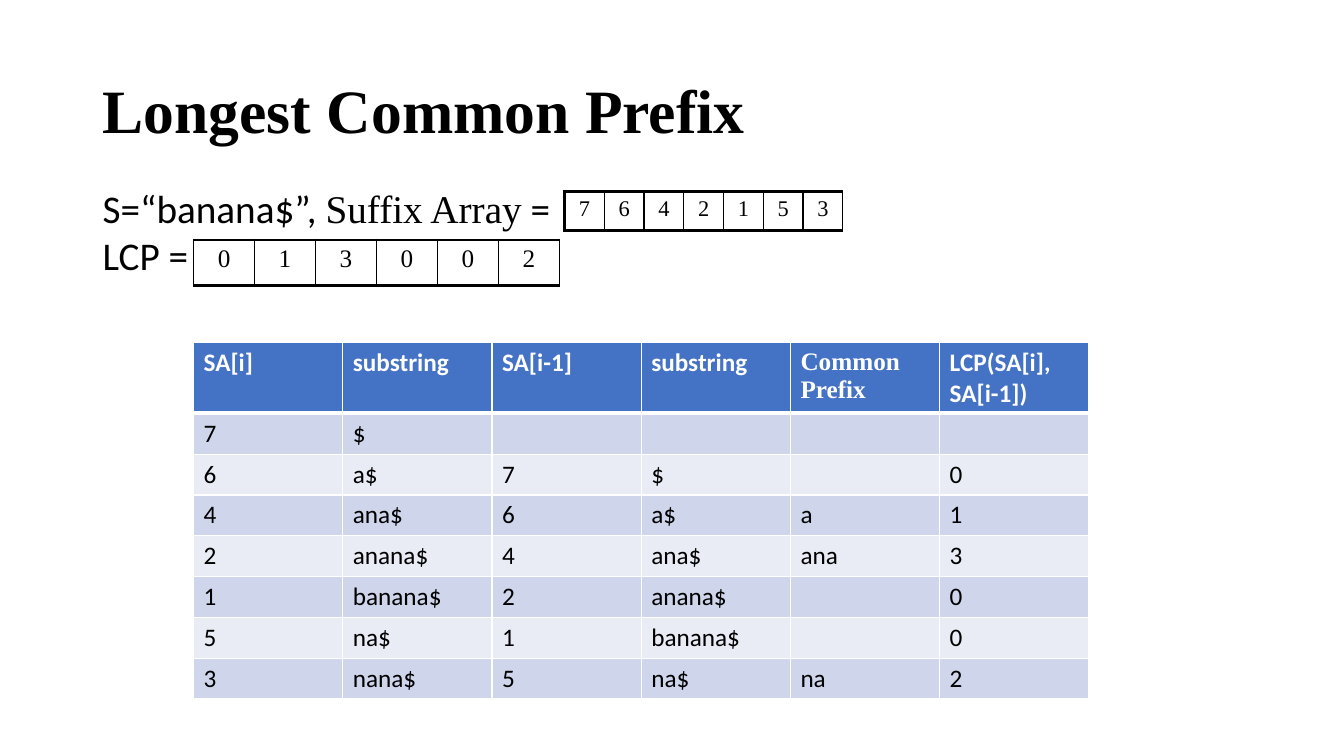
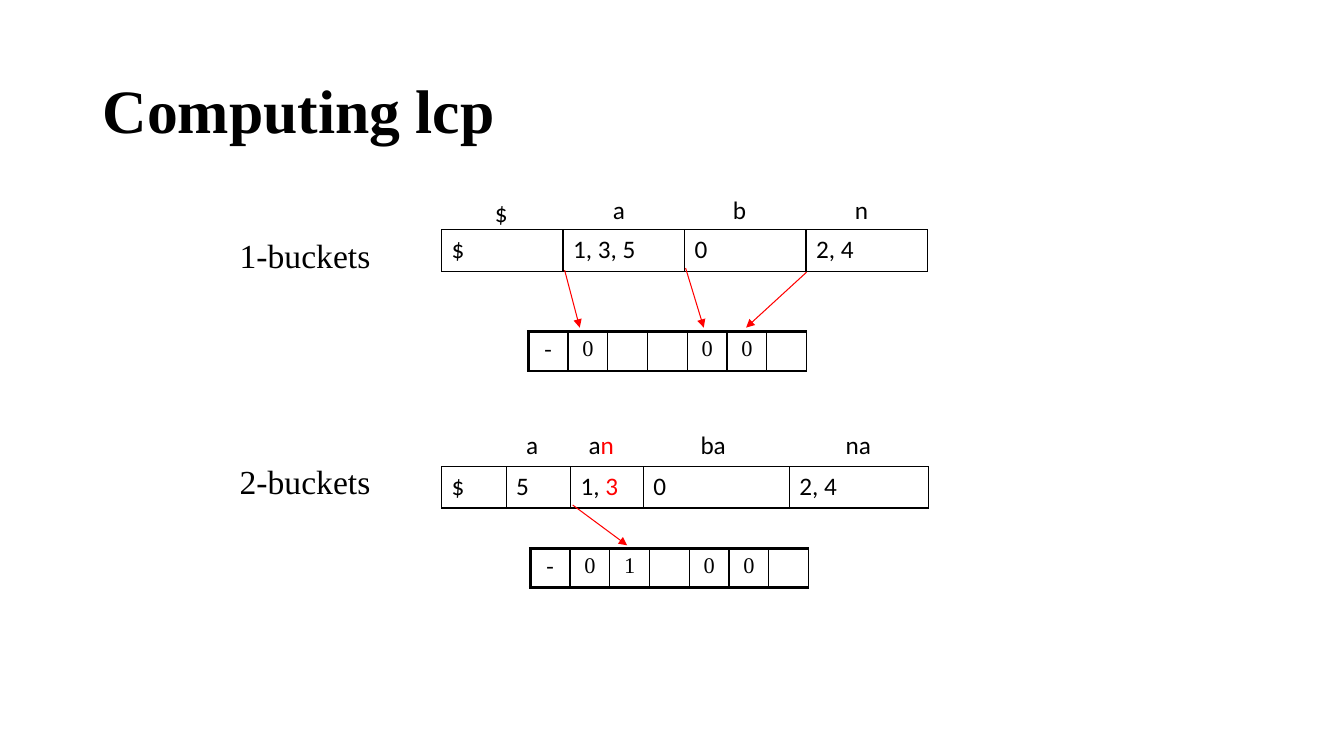
from dataclasses import dataclass

from lxml import etree
from pptx import Presentation
from pptx.dml.color import RGBColor
from pptx.enum.shapes import MSO_CONNECTOR
from pptx.enum.text import MSO_ANCHOR, PP_ALIGN
from pptx.oxml.ns import qn
from pptx.util import Inches, Pt

BLACK = RGBColor(0x00, 0x00, 0x00)
WHITE = RGBColor(0xFF, 0xFF, 0xFF)
RED = RGBColor(0xFF, 0x00, 0x00)
HEADER_BLUE = RGBColor(0x44, 0x72, 0xC4)
BAND_DARK = RGBColor(0xCF, 0xD5, 0xEA)
BAND_LIGHT = RGBColor(0xE9, 0xEB, 0xF5)

SANS = "Calibri"
SERIF = "Times New Roman"
LEFT, CENTER = PP_ALIGN.LEFT, PP_ALIGN.CENTER
TOP, MIDDLE = MSO_ANCHOR.TOP, MSO_ANCHOR.MIDDLE
STRAIGHT = MSO_CONNECTOR.STRAIGHT

# The string and its arrays
WORD = "banana$"
SUFFIX_ARRAY = [7, 6, 4, 2, 1, 5, 3]
LCP = [0, 1, 3, 0, 0, 2]


@dataclass(frozen=True)
class Run:
    text: str
    font: str | None = None
    color: RGBColor | None = None


@dataclass(frozen=True)
class Borders:
    color: RGBColor = BLACK
    left: float = 1
    right: float = 1
    top: float = 1
    bottom: float = 1


@dataclass(frozen=True)
class Label:
    left: float
    top: float
    width: float
    runs: tuple


@dataclass(frozen=True)
class Arrow:
    start: tuple
    end: tuple


@dataclass(frozen=True)
class BucketRow:
    name: str
    name_top: float
    top: float
    widths: list
    cells: list
    labels: list
    strip_left: float
    strip_top: float
    lcp: list
    arrows: list


def write_text(frame, *paragraphs, size=18, font=SANS, color=BLACK, bold=False,
               align=LEFT, line_spacing=1.0):
    """Fill a frame; each paragraph is a sequence of Run items."""
    for index, runs in enumerate(paragraphs):
        paragraph = frame.paragraphs[0] if index == 0 else frame.add_paragraph()
        paragraph.alignment = align
        paragraph.line_spacing = line_spacing
        for part in runs:
            run = paragraph.add_run()
            run.text = part.text
            run.font.size = Pt(size)
            run.font.name = part.font or font
            run.font.bold = bold
            run.font.color.rgb = part.color or color
        if not runs:
            etree.SubElement(paragraph._p, qn("a:endParaRPr"), sz=str(size * 100))


def add_text(slide, left: float, top: float, width: float, height: float,
             *paragraphs, anchor=TOP, **text_format):
    box = slide.shapes.add_textbox(Inches(left), Inches(top), Inches(width), Inches(height))
    box.text_frame.word_wrap = True
    box.text_frame.vertical_anchor = anchor
    write_text(box.text_frame, *paragraphs, **text_format)


def add_title(slide, text: str):
    add_text(slide, 0.92, 0.4, 11.5, 1.45, [Run(text)], anchor=MIDDLE,
             size=44, font=SERIF, bold=True, line_spacing=0.9)


def set_borders(cell, borders: Borders):
    properties = cell._tc.get_or_add_tcPr()
    sides = (("L", borders.left), ("R", borders.right),
             ("T", borders.top), ("B", borders.bottom))
    for position, (side, weight) in enumerate(sides):
        line = etree.Element(qn(f"a:ln{side}"), w=str(Pt(weight)))
        fill = etree.SubElement(line, qn("a:solidFill"))
        etree.SubElement(fill, qn("a:srgbClr"), val=str(borders.color))
        properties.insert(position, line)


def add_grid(slide, left: float, top: float, widths: list, heights: list):
    table = slide.shapes.add_table(
        len(heights), len(widths), Inches(left), Inches(top),
        Inches(sum(widths)), Inches(sum(heights))).table
    table.first_row = table.horz_banding = False
    for column, width in zip(table.columns, widths):
        column.width = Inches(width)
    for row, height in zip(table.rows, heights):
        row.height = Inches(height)
    return table


def fill_cell(cell, runs, fill: RGBColor, borders: Borders, **text_format):
    cell.fill.solid()
    cell.fill.fore_color.rgb = fill
    set_borders(cell, borders)
    write_text(cell.text_frame, runs, **text_format)


def add_strip(slide, left: float, top: float, values: list, width=2.76,
              height=0.39, size=16, left_border=2.25):
    """One-row array with heavy top and bottom lines."""
    count = len(values)
    table = add_grid(slide, left, top, [width / count] * count, [height])
    for index, value in enumerate(values):
        borders = Borders(left=left_border if index == 0 else 1, top=2.25, bottom=2.25)
        runs = [Run(str(value))] if value != "" else []
        fill_cell(table.cell(0, index), runs, WHITE, borders,
                  size=size, font=SERIF, align=CENTER)


def add_arrow(slide, arrow: Arrow):
    points = [Inches(value) for value in (*arrow.start, *arrow.end)]
    connector = slide.shapes.add_connector(STRAIGHT, *points)
    connector.line.color.rgb = RED
    connector.line.width = Pt(0.75)
    etree.SubElement(connector.line._get_or_add_ln(), qn("a:tailEnd"), type="triangle")
    etree.SubElement(connector._element.spPr, qn("a:effectLst"))


def add_buckets(slide, row: BucketRow):
    add_text(slide, 2.27, row.name_top, 1.51, 0.5, [Run(row.name)],
             size=24, font=SERIF, align=CENTER)
    table = add_grid(slide, 4.38, row.top, row.widths, [0.41])
    for index, runs in enumerate(row.cells):
        fill_cell(table.cell(0, index), runs, WHITE, Borders())
    for label in row.labels:
        add_text(slide, label.left, label.top, label.width, 0.4, label.runs)
    add_strip(slide, row.strip_left, row.strip_top, row.lcp)
    for arrow in row.arrows:
        add_arrow(slide, arrow)


def comparison_rows() -> list:
    """Each suffix beside its predecessor, their common prefix and its length."""
    suffixes = [WORD[start - 1:] for start in SUFFIX_ARRAY]
    rows = [[str(SUFFIX_ARRAY[0]), suffixes[0], "", "", "", ""]]
    for index, length in enumerate(LCP, start=1):
        rows.append([str(SUFFIX_ARRAY[index]), suffixes[index],
                     str(SUFFIX_ARRAY[index - 1]), suffixes[index - 1],
                     suffixes[index][:length], str(length)])
    return rows


def build_prefix_slide(slide):
    add_title(slide, "Longest Common Prefix")
    add_text(slide, 0.92, 1.78, 4.79, 1.04,
             [Run("S=“banana$”, "), Run("Suffix Array", font=SERIF), Run(" =")],
             [Run("LCP =")], size=28)

    # Comparison of neighbouring suffixes
    header = [Run("SA[i]"), Run("substring"), Run("SA[i-1]"), Run("substring"),
              Run("Common Prefix", font=SERIF), Run("LCP(SA[i], SA[i-1])")]
    rows = comparison_rows()
    table = add_grid(slide, 1.92, 3.4, [1.48] * len(header), [0.7] + [0.405] * len(rows))
    for column, title in enumerate(header):
        fill_cell(table.cell(0, column), [title], HEADER_BLUE,
                  Borders(WHITE, bottom=3), color=WHITE, bold=True)
    for row, values in enumerate(rows, start=1):
        band = BAND_DARK if row % 2 else BAND_LIGHT
        borders = Borders(WHITE, top=3 if row == 1 else 1)
        for column, value in enumerate(values):
            fill_cell(table.cell(row, column), [Run(value)] if value else [], band, borders)

    # Arrays beside the definitions
    add_strip(slide, 5.6, 1.9, SUFFIX_ARRAY)
    add_strip(slide, 1.92, 2.38, LCP, width=3.63, height=0.45, size=18, left_border=1)


def build_bucket_slide(slide):
    add_title(slide, "Computing lcp")
    one_buckets = BucketRow(
        "1-buckets", 2.28, 2.28, [1.205] * 4,
        [[Run(text)] for text in ("$", "1, 3, 5", "0", "2, 4")],
        [Label(4.81, 1.91, 0.32, (Run("$"),)), Label(5.98, 1.88, 0.32, (Run("a"),)),
         Label(7.17, 1.88, 0.34, (Run("b"),)), Label(8.38, 1.88, 0.34, (Run("n"),))],
        5.24, 3.29, ["-", 0, "", "", 0, 0, ""],
        [Arrow((5.6, 2.68), (5.75, 3.25)), Arrow((6.8, 2.66), (6.98, 3.25)),
         Arrow((8, 2.7), (7.4, 3.25))])
    two_buckets = BucketRow(
        "2-buckets", 4.52, 4.63, [0.64, 0.64, 0.72, 1.45, 1.38],
        [[Run("$")], [Run("5")], [Run("1, "), Run("3", color=RED)],
         [Run("0")], [Run("2, 4")]],
        [Label(5.12, 4.21, 0.32, (Run("a"),)),
         Label(5.74, 4.21, 0.48, (Run("a"), Run("n", color=RED))),
         Label(6.85, 4.21, 0.53, (Run("ba"),)), Label(8.29, 4.21, 0.53, (Run("na"),))],
        5.26, 5.44, ["-", 0, 1, "", 0, 0, ""],
        [Arrow((5.68, 5.01), (6.22, 5.41))])
    for row in (one_buckets, two_buckets):
        add_buckets(slide, row)


def main():
    deck = Presentation()
    deck.slide_width, deck.slide_height = Inches(13.33), Inches(7.5)
    blank = deck.slide_layouts[6]
    for build in (build_prefix_slide, build_bucket_slide):
        build(deck.slides.add_slide(blank))
    deck.save("out.pptx")


if __name__ == "__main__":
    main()
